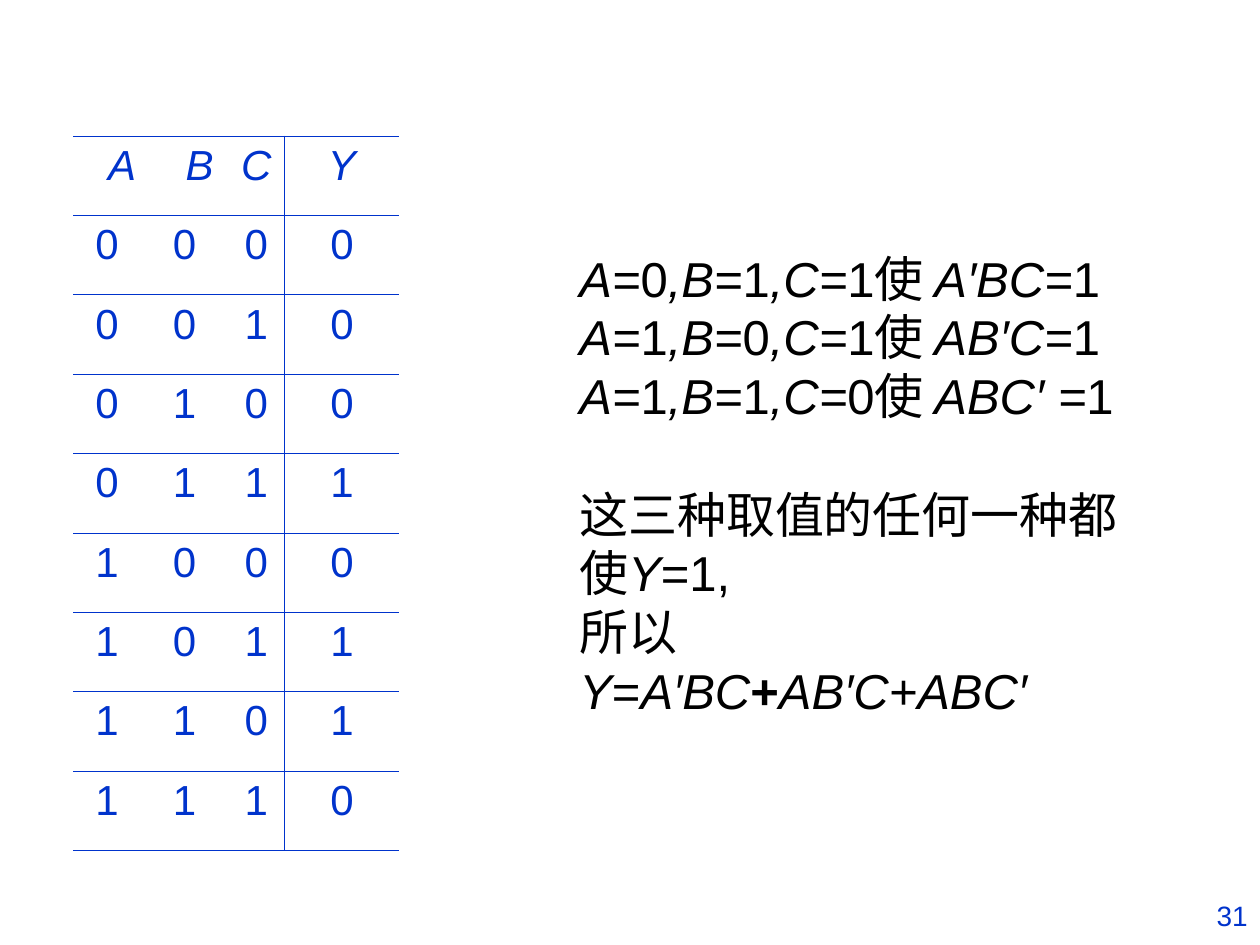
from dataclasses import dataclass

from lxml import etree
from pptx import Presentation
from pptx import util as u
from pptx.dml.color import RGBColor
from pptx.enum import text
from pptx.oxml import ns


@dataclass(frozen=True)
class Theme:
    font: str = "Arial"
    blue: str = "0033CC"
    black: str = "000000"
    table_size: int = 24
    body_size: int = 28
    number_size: int = 16
    rule_width: float = 0.45


theme = Theme()


def add_span(para, words, size, color, style=""):
    span = para.add_run()
    span.text = words
    span.font.name = theme.font
    span.font.size = u.Pt(size)
    span.font.color.rgb = RGBColor.from_string(color)
    span.font.italic = style == "italic"
    span.font.bold = style == "bold"


def set_borders(cell, visible_sides):
    properties = cell._tc.get_or_add_tcPr()
    for side in "LRTB":
        line = etree.SubElement(properties, ns.qn(f"a:ln{side}"), w=str(u.Pt(theme.rule_width)))
        if side in visible_sides:
            fill = etree.SubElement(line, ns.qn("a:solidFill"))
            etree.SubElement(fill, ns.qn("a:srgbClr"), val=theme.blue)
        else:
            etree.SubElement(line, ns.qn("a:noFill"))


deck = Presentation()
deck.slide_width = u.Inches(10)
deck.slide_height = u.Inches(7.5)
page = deck.slides.add_slide(deck.slide_layouts[6])

outputs = "00010110"
truth_rows = ["ABCY"] + [f"{number:03b}{output}" for number, output in enumerate(outputs)]
column_widths = [0.54, 0.24, 0.45, 0.45, 0.91]
row_height = 0.63

truth_table = page.shapes.add_table(
    len(truth_rows), len(column_widths), u.Inches(0.58), u.Inches(1.08),
    u.Inches(sum(column_widths)), u.Inches(row_height * len(truth_rows)),
).table
truth_table.first_row = False
truth_table.horz_banding = False
for column, width in zip(truth_table.columns, column_widths):
    column.width = u.Inches(width)

for row, values in enumerate(truth_rows):
    truth_table.rows[row].height = u.Inches(row_height)
    is_header = row == 0
    for column in range(len(column_widths)):
        cell = truth_table.cell(row, column)
        set_borders(cell, {3: "RTB", 4: "LTB"}.get(column, "TB"))
        cell.fill.background()
    merge_start = 0 if is_header else 1
    truth_table.cell(row, merge_start).merge(truth_table.cell(row, merge_start + 1))
    value_columns = [0, 2, 3, 4] if is_header else [0, 1, 3, 4]
    for column, value in zip(value_columns, values):
        para = truth_table.cell(row, column).text_frame.paragraphs[0]
        para.alignment = text.PP_ALIGN.CENTER
        para.space_before = u.Pt(6)
        add_span(para, value, theme.table_size, theme.blue, "italic" if is_header else "")

minterms = [("011", "A′BC="), ("101", "AB′C="), ("110", "ABC′ =")]
explanation = [
    [("A=", "italic"), (a, ""), (",B=", "italic"), (b, ""), (",C=", "italic"),
     (f"{c}使 ", ""), (product, "italic"), ("1", "")]
    for (a, b, c), product in minterms
]
explanation += [
    [("这三种取值的任何一种都使", ""), ("Y", "italic"), ("=1,", "")],
    [("所以", "")],
    [("Y", "italic"), ("=", ""), ("A′BC", "italic"), ("+", "bold"), ("AB′C+ABC′", "italic")],
]

box = page.shapes.add_textbox(u.Inches(3.5), u.Inches(1.92), u.Inches(5.83), u.Inches(2.9))
frame = box.text_frame
frame.word_wrap = True
frame.auto_size = text.MSO_AUTO_SIZE.SHAPE_TO_FIT_TEXT
for index, spans in enumerate(explanation):
    para = frame.paragraphs[0] if index == 0 else frame.add_paragraph()
    para._p.get_or_add_pPr().set("marL", str(u.Inches(1)))
    if index == len(minterms):
        para.space_before = u.Pt(34)
    for words, style in spans:
        add_span(para, words, theme.body_size, theme.black, style)

number_box = page.shapes.add_textbox(u.Inches(7.5), u.Inches(7.08), u.Inches(2.5), u.Inches(0.42))
number_box.text_frame.word_wrap = True
para = number_box.text_frame.paragraphs[0]
para.alignment = text.PP_ALIGN.RIGHT
add_span(para, "31", theme.number_size, theme.blue)

deck.save("out.pptx")
